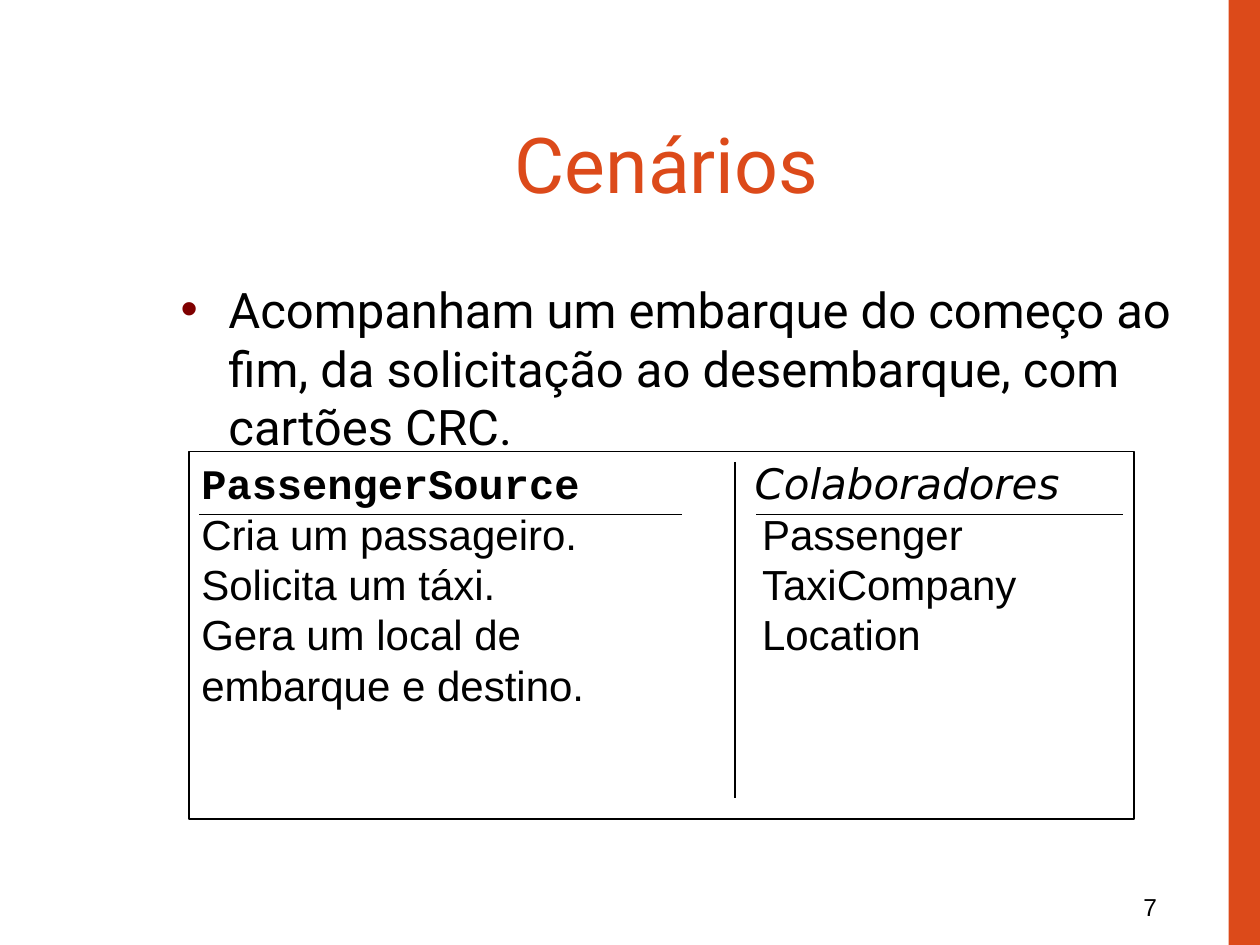
from dataclasses import dataclass

from lxml import etree
from pptx import Presentation
from pptx.dml.color import RGBColor
from pptx.enum.shapes import MSO_CONNECTOR, MSO_SHAPE
from pptx.enum.text import MSO_ANCHOR, MSO_AUTO_SIZE, PP_ALIGN
from pptx.oxml.ns import qn
from pptx.util import Inches, Pt

RECT = MSO_SHAPE.RECTANGLE
STRAIGHT = MSO_CONNECTOR.STRAIGHT
TOP, MIDDLE = MSO_ANCHOR.TOP, MSO_ANCHOR.MIDDLE
LEFT, CENTER, RIGHT = PP_ALIGN.LEFT, PP_ALIGN.CENTER, PP_ALIGN.RIGHT
NO_FIT = MSO_AUTO_SIZE.NONE

WIDTH, HEIGHT = 10, 7.5
COLS, ROWS = 120, 90


@dataclass(frozen=True)
class Theme:
    accent: str = "DC4A1A"
    bullet: str = "7F0000"
    ink: str = "000000"
    heading: str = "Roboto"
    text: str = "Arial"
    code: str = "Courier New"
    label: str = "DejaVu Sans"
    title_size: float = 44
    body_size: float = 28
    card_size: float = 24
    number_size: float = 14
    line: float = 0.75


class Deck:
    def __init__(self, theme):
        self.theme = theme
        self.prs = Presentation()
        self.prs.slide_width = Inches(WIDTH)
        self.prs.slide_height = Inches(HEIGHT)
        self.slide = self.prs.slides.add_slide(self.prs.slide_layouts[1])

    def x(self, col):
        return Inches(WIDTH * col / COLS)

    def y(self, row):
        return Inches(HEIGHT * row / ROWS)

    def box(self, col, row, cols, rows):
        return self.x(col), self.y(row), self.x(cols), self.y(rows)

    def place(self, sp, box):
        sp.left, sp.top, sp.width, sp.height = self.box(*box)

    def frame(self, sp, anchor=TOP):
        tf = sp.text_frame
        tf.word_wrap = True
        tf.auto_size = NO_FIT
        tf.vertical_anchor = anchor
        return tf

    def style(self, p, font, size, color, align=LEFT):
        p.alignment = align
        p.space_before = Pt(0)
        for r in p.runs:
            r.font.name = font
            r.font.size = Pt(size)
            r.font.color.rgb = RGBColor.from_string(color)

    def title(self, text, box):
        sp = self.slide.shapes.title
        self.place(sp, box)
        tf = self.frame(sp, MIDDLE)
        tf.text = text
        t = self.theme
        self.style(tf.paragraphs[0], t.heading, t.title_size, t.accent, CENTER)

    def bullets(self, items, box, indent):
        sp = self.slide.placeholders[1]
        self.place(sp, box)
        tf = self.frame(sp)
        tf.text = "\n".join(items)
        t = self.theme
        for p in tf.paragraphs:
            pPr = p._p.get_or_add_pPr()
            pPr.set("marL", str(Inches(indent)))
            pPr.set("indent", str(-Inches(indent)))
            color = etree.SubElement(pPr, qn("a:buClr"))
            etree.SubElement(color, qn("a:srgbClr"), val=t.bullet)
            etree.SubElement(pPr, qn("a:buChar"), char="•")
            self.style(p, t.heading, t.body_size, t.ink)

    def rect(self, box, fill=None, line=None):
        sp = self.slide.shapes.add_shape(RECT, *self.box(*box))
        sp.shadow.inherit = False
        if fill:
            sp.fill.solid()
            sp.fill.fore_color.rgb = RGBColor.from_string(fill)
        else:
            sp.fill.background()
        if line:
            sp.line.color.rgb = RGBColor.from_string(line)
            sp.line.width = Pt(self.theme.line)
        else:
            sp.line.fill.background()
        return sp

    def card(self, header, rows, box, header_tab, row_tab):
        t = self.theme
        tf = self.frame(self.rect(box, line=t.ink))
        tf.text = "\n".join("\t".join(row).rstrip("\t") for row in [header, *rows])
        for i, p in enumerate(tf.paragraphs):
            tabs = etree.SubElement(p._p.get_or_add_pPr(), qn("a:tabLst"))
            pos = Inches(row_tab if i else header_tab)
            etree.SubElement(tabs, qn("a:tab"), pos=str(pos), algn="l")
            self.style(p, t.text, t.card_size, t.ink)
        p = tf.paragraphs[0]
        name = p.runs[0]
        name.text = header[0] + "\t"
        p.add_run().text = header[1]
        self.style(p, t.label, t.card_size, t.ink)
        name.font.name = t.code
        name.font.bold = True
        p.runs[1].font.italic = True

    def rule(self, start, end):
        line = self.slide.shapes.add_connector(
            STRAIGHT, self.x(start[0]), self.y(start[1]), self.x(end[0]), self.y(end[1])
        )
        line.line.color.rgb = RGBColor.from_string(self.theme.ink)
        line.line.width = Pt(self.theme.line)
        etree.SubElement(line._element.spPr, qn("a:effectLst"))

    def number(self, text, box):
        sp = self.slide.shapes.add_textbox(*self.box(*box))
        tf = self.frame(sp)
        tf.margin_right = Inches(0.15)
        tf.text = text
        t = self.theme
        self.style(tf.paragraphs[0], t.text, t.number_size, t.ink, RIGHT)


def main():
    theme = Theme()
    deck = Deck(theme)
    deck.rect((117, 0, 3, ROWS), fill=theme.accent)
    deck.number("7", (105, 84.4, 7, 4))
    deck.title("Cenários", (13, 8, 101, 15))
    deck.bullets(
        ["Acompanham um embarque do começo ao fim, da solicitação ao desembarque, "
         "com cartões CRC."],
        (16, 26, 98, 54),
        indent=0.38,
    )
    deck.card(
        ("PassengerSource", "Colaboradores"),
        [
            ("Cria um passageiro.", "Passenger"),
            ("Solicita um táxi.", "TaxiCompany"),
            ("Gera um local de", "Location"),
            ("embarque e destino.", ""),
        ],
        (18, 43, 90, 35),
        header_tab=4.39,
        row_tab=4.45,
    )
    deck.rule((19, 49), (65, 49))
    deck.rule((70, 44), (70, 76))
    deck.rule((72, 49), (107, 49))
    deck.prs.save("out.pptx")


if __name__ == "__main__":
    main()
